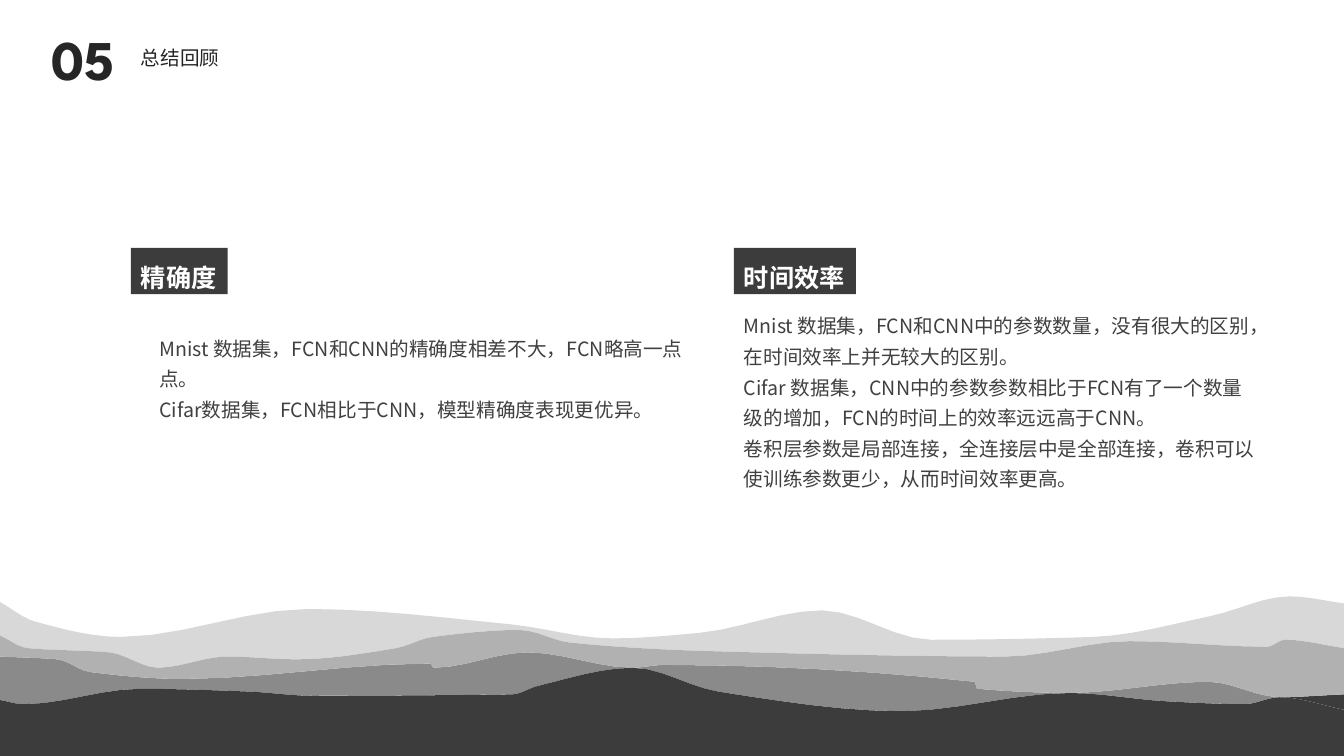
from dataclasses import dataclass
from itertools import pairwise

from pptx import Presentation
from pptx import util as u
from pptx.dml.color import RGBColor
from pptx.enum import shapes, text


@dataclass(frozen=True)
class Theme:
    face: str = "League Spartan"
    body_face: str = "Noto Sans CJK SC"
    ink: str = "262626"
    body: str = "404040"
    paper: str = "FFFFFF"
    far: str = "D8D8D8"
    middle: str = "B1B1B1"
    near: str = "8A8A8A"
    front: str = "3C3C3C"
    number_size: int = 40
    tag_size: int = 18
    text_size: int = 14


THEME = Theme()
SECTION = ("05", "总结回顾")
TOPICS = [
    {
        "title": "精确度",
        "tag": (93.6, 177.1, 69.1, 33.1),
        "body": (106.6, 231.8, 395.3, 71.3),
        "lines": [
            "Mnist 数据集，FCN和CNN的精确度相差不大，FCN略高一点点。",
            "Cifar数据集，FCN相比于CNN，模型精确度表现更优异。",
        ],
    },
    {
        "title": "时间效率",
        "tag": (524.2, 177.1, 87.1, 33.1),
        "body": (524.2, 216, 380.2, 137.5),
        "lines": [
            "Mnist 数据集，FCN和CNN中的参数数量，没有很大的区别，在时间效率上并无较大的区别。",
            "Cifar 数据集，CNN中的参数参数相比于FCN有了一个数量级的增加，FCN的时间上的效率远远高于CNN。",
            "卷积层参数是局部连接，全连接层中是全部连接，卷积可以使训练参数更少，从而时间效率更高。",
        ],
    },
]

CURVE_STEPS = 6
RIDGES = {
    "far": [
        (0, 430), (25, 444), (86, 455), (220, 435), (365, 446), (437, 456), (500, 452),
        (587, 436), (665, 457), (780, 455), (865, 440), (921, 426), (960, 431),
    ],
    "middle": [
        (0, 454), (20, 463), (78, 466), (113, 477), (162, 469), (212, 471), (283, 463),
        (309, 455), (371, 450), (407, 459), (503, 465), (718, 469), (807, 458),
        (905, 462), (918, 457), (960, 463),
    ],
    "near": [
        (0, 469), (41, 471), (64, 480), (130, 485), (307, 474), (310, 477), (377, 466),
        (452, 477), (474, 475), (696, 487), (698, 492), (764, 495), (863, 487),
        (914, 498), (960, 496),
    ],
    "front": [
        (0, 500), (17, 503), (100, 492), (178, 494), (223, 497), (366, 496), (384, 490),
        (452, 477), (513, 494), (644, 508), (764, 495), (834, 501), (889, 503),
        (914, 498), (960, 507),
    ],
    "floor": [(0, 540), (960, 540)],
}
MEETINGS = [x for x, y in RIDGES["near"] if (x, y) in RIDGES["front"]]
NEAR_EDGES = [0, *MEETINGS, 960]
BANDS = [
    (THEME.far, "far", "middle", 0, 960),
    *((THEME.near, "near", "front", *edges) for edges in pairwise(NEAR_EDGES[:-1])),
    (THEME.front, "near", "front", *NEAR_EDGES[-2:]),
    (THEME.middle, "middle", "near", 0, 960),
    (THEME.front, "front", "floor", 0, 960),
]


def smooth_ridge(knots):
    secants = [(y1 - y0) / (x1 - x0) for (x0, y0), (x1, y1) in pairwise(knots)]
    inner = [2 * a * b / (a + b) if a * b > 0 else 0 for a, b in pairwise(secants)]
    slopes = [secants[0], *inner, secants[-1]]
    curve = [knots[0]]
    for ((x0, y0), (x1, y1)), (m0, m1) in zip(pairwise(knots), pairwise(slopes)):
        run = x1 - x0
        for step in range(1, CURVE_STEPS):
            t = step / CURVE_STEPS
            ease = t * t * (3 - 2 * t)
            y = y0 + (y1 - y0) * ease
            y += run * t * (1 - t) * (m0 * (1 - t) - m1 * t)
            curve.append((x0 + run * t, y))
        curve.append((x1, y1))
    return curve


def paint(shape, color):
    shape.shadow.inherit = False
    shape.fill.solid()
    shape.fill.fore_color.rgb = RGBColor.from_string(color)
    shape.line.fill.background()


def add_band(page, curves, color, top, bottom, start, end):
    upper, lower = (
        [(u.Pt(x), u.Pt(y)) for x, y in curves[name] if start <= x <= end]
        for name in (top, bottom)
    )
    outline = upper + lower[::-1]
    builder = page.shapes.build_freeform(*outline[0])
    builder.add_line_segments(outline[1:], close=True)
    paint(builder.convert_to_shape(), color)


def write(box, lines, size, color, face=THEME.face, bold=False, spacing=1.3, before=0):
    frame = box.text_frame
    for index, line in enumerate(lines):
        para = frame.add_paragraph() if index else frame.paragraphs[0]
        para.text = line
        para.alignment = text.PP_ALIGN.LEFT
        para.line_spacing = spacing
        para.space_before = u.Pt(before)
        para.font.name = face
        para.font.size = u.Pt(size)
        para.font.bold = bold
        para.font.color.rgb = RGBColor.from_string(color)


def add_text(page, place, lines, size, color, **style):
    box = page.shapes.add_textbox(*map(u.Pt, place))
    box.text_frame.word_wrap = True
    write(box, lines, size, color, **style)
    return box


def add_tag(page, place, title):
    tag = page.shapes.add_shape(shapes.MSO_SHAPE.RECTANGLE, *map(u.Pt, place))
    paint(tag, THEME.front)
    frame = tag.text_frame
    frame.word_wrap = False
    frame.auto_size = text.MSO_AUTO_SIZE.SHAPE_TO_FIT_TEXT
    frame.vertical_anchor = text.MSO_ANCHOR.TOP
    write(tag, [title], THEME.tag_size, THEME.paper, bold=True)


def main():
    deck = Presentation()
    deck.slide_width, deck.slide_height = u.Pt(960), u.Pt(540)
    page = deck.slides.add_slide(deck.slide_layouts[6])

    curves = {name: smooth_ridge(knots) for name, knots in RIDGES.items()}
    for band in BANDS:
        add_band(page, curves, *band)

    number, heading = SECTION
    add_text(page, (29.5, 19.4, 63.4, 46.1), [number], THEME.number_size, THEME.ink,
             bold=True, spacing=0.9, before=10)
    title = add_text(page, (93.6, 28.8, 146.9, 26.6), [heading], THEME.text_size, THEME.ink,
                     spacing=0.9, before=10)
    title.text_frame.vertical_anchor = text.MSO_ANCHOR.MIDDLE

    for topic in TOPICS:
        add_tag(page, topic["tag"], topic["title"])
        add_text(page, topic["body"], topic["lines"], THEME.text_size, THEME.body,
                 face=THEME.body_face)

    deck.save("out.pptx")


if __name__ == "__main__":
    main()
